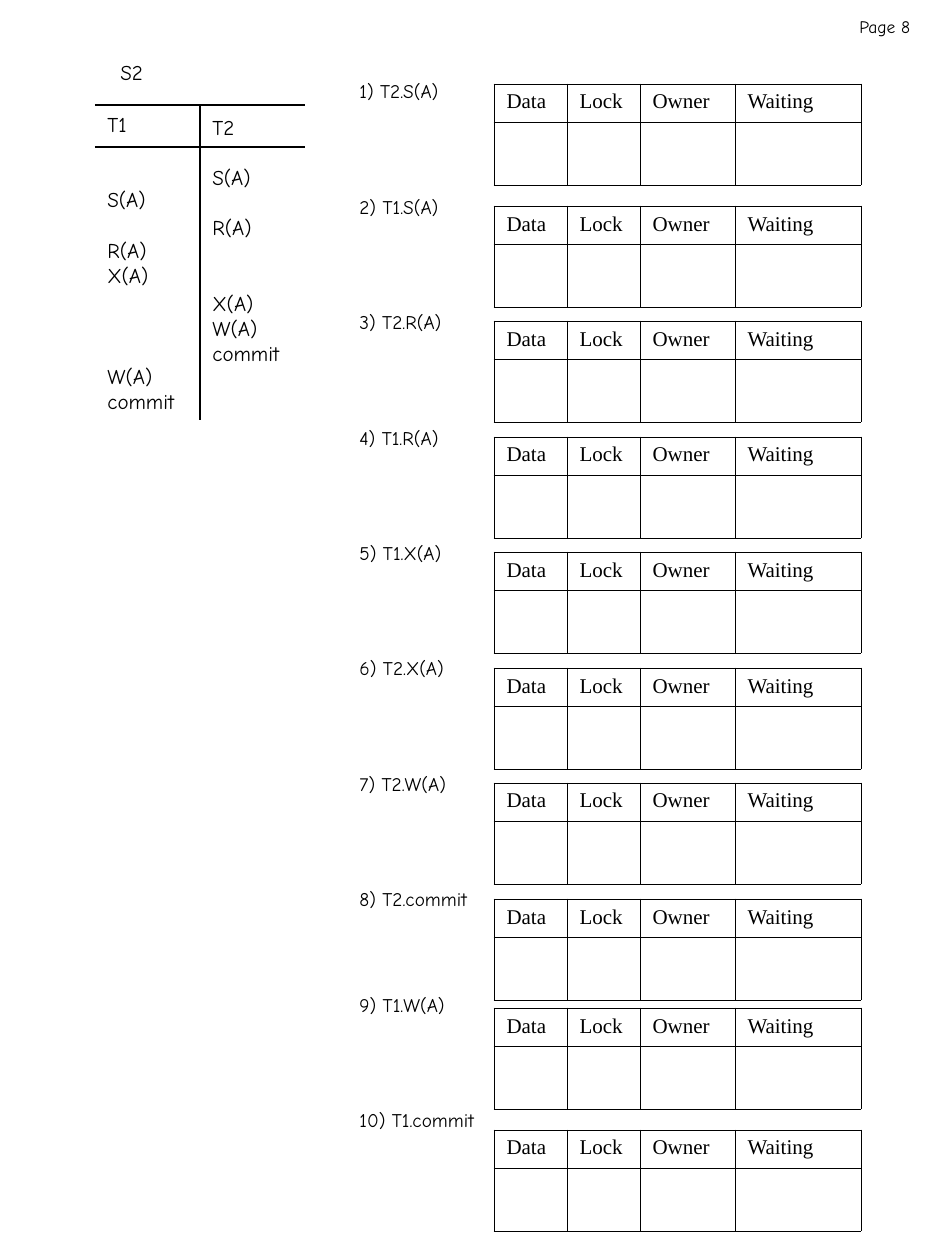
import pptx
import pptx.dml.color
import pptx.enum.shapes
import pptx.enum.text
import pptx.oxml
import pptx.oxml.ns
import pptx.util
from lxml import etree

PX = 914400 / 126
LINE_HEIGHT = 14.4  # points, one line of 12 pt Comic Neue


def px(length):
    return pptx.util.Emu(round(length * PX))


def color(hex_string):
    return pptx.dml.color.RGBColor.from_string(hex_string)


class SheetBuilder:
    ink = "000000"
    hand_font = "Comic Neue"
    table_font = "Times New Roman"
    rule_width = 0.75
    border_width = 0.45

    def __init__(self, slide):
        self.slide = slide

    def add_words(self, paragraph, text, font_name, size):
        run = paragraph.add_run()
        run.text = text
        formats = {"name": font_name, "size": pptx.util.Pt(size), "bold": False}
        for name, value in formats.items():
            setattr(run.font, name, value)
        run.font.color.rgb = color(self.ink)

    def line(self, x1, y1, x2, y2):
        connector = self.slide.shapes.add_connector(
            pptx.enum.shapes.MSO_CONNECTOR.STRAIGHT, px(x1), px(y1), px(x2), px(y2))
        connector.line.color.rgb = color(self.ink)
        connector.line.width = pptx.util.Pt(self.rule_width)
        etree.SubElement(connector.element.spPr, pptx.oxml.ns.qn("a:effectLst"))

    def text(self, left, top, width, height, entries, size=12, wrap=True):
        """Each entry is (blank lines above, text)."""
        box = self.slide.shapes.add_textbox(px(left), px(top), px(width), px(height))
        frame = box.text_frame
        formats = {"word_wrap": wrap,
                   "auto_size": pptx.enum.text.MSO_AUTO_SIZE.SHAPE_TO_FIT_TEXT}
        for name, value in formats.items():
            setattr(frame, name, value)
        for index, (gap, text) in enumerate(entries):
            paragraph = frame.add_paragraph() if index else frame.paragraphs[0]
            if gap:
                paragraph.space_before = pptx.util.Pt(gap * LINE_HEIGHT)
            self.add_words(paragraph, text, self.hand_font, size)

    def border(self, cell):
        properties = cell._tc.get_or_add_tcPr()
        width = pptx.util.Pt(self.border_width)
        for side in ("lnL", "lnR", "lnT", "lnB"):
            properties.append(pptx.oxml.parse_xml(
                f'<a:{side} {pptx.oxml.ns.nsdecls("a")} w="{width}"><a:solidFill>'
                f'<a:srgbClr val="{self.ink}"/></a:solidFill></a:{side}>'))

    def table(self, left, top, widths, heights, headers):
        table = self.slide.shapes.add_table(
            len(heights), len(widths), px(left), px(top),
            px(sum(widths)), px(sum(heights))).table
        for name in ("first_row", "horz_banding"):
            setattr(table, name, False)
        for column, width in zip(table.columns, widths):
            column.width = px(width)
        for row, height in zip(table.rows, heights):
            row.height = px(height)
        for cell in table.iter_cells():
            self.border(cell)
            cell.fill.background()
        for index, header in enumerate(headers):
            self.add_words(table.cell(0, index).text_frame.paragraphs[0],
                           header, self.table_font, 12)


# Schedule: (blank lines above, operation)
T1_OPERATIONS = [(0, "T1"), (2, "S(A)"), (1, "R(A)"), (0, "X(A)"),
                 (3, "W(A)"), (0, "commit")]
T2_OPERATIONS = [(0, "T2"), (1, "S(A)"), (1, "R(A)"), (2, "X(A)"),
                 (0, "W(A)"), (0, "commit")]

# Steps: (operation, label top, lock table top)
STEPS = [("T2.S(A)", 73, 84), ("T1.S(A)", 189, 206), ("T2.R(A)", 304, 321),
         ("T1.R(A)", 420, 437), ("T1.X(A)", 535, 552), ("T2.X(A)", 650, 668),
         ("T2.W(A)", 766, 783), ("T2.commit", 881, 899), ("T1.W(A)", 987, 1008),
         ("T1.commit", 1102, 1130)]


def main():
    presentation = pptx.Presentation()
    presentation.slide_width = px(945)
    presentation.slide_height = px(1260)
    builder = SheetBuilder(presentation.slides.add_slide(presentation.slide_layouts[6]))

    # Schedule grid
    left, top, column = 95, 105, 105
    middle = left + column
    for y in (top + 42, top):
        builder.line(left, y, middle + column, y)
    builder.line(middle, top, middle, 420)

    # Schedule text
    builder.text(middle, 108, column, 265, T2_OPERATIONS)
    builder.text(left, top, column, 315, T1_OPERATIONS)
    builder.text(108, 53, 48, 38, [(0, "S2")], wrap=False)

    # Step labels and page number
    for number, (operation, label_top, _) in enumerate(STEPS, 1):
        builder.text(347, label_top, 525, 36, [(0, f"{number}) {operation}")], size=11)
    builder.text(847, 10, 77, 34, [(0, "Page 8")], size=10, wrap=False)

    # Lock tables
    for _, _, table_top in STEPS:
        builder.table(494, table_top, (73, 73, 95, 126), (38, 63),
                      ("Data", "Lock", "Owner", "Waiting"))

    presentation.save("out.pptx")


if __name__ == "__main__":
    main()
